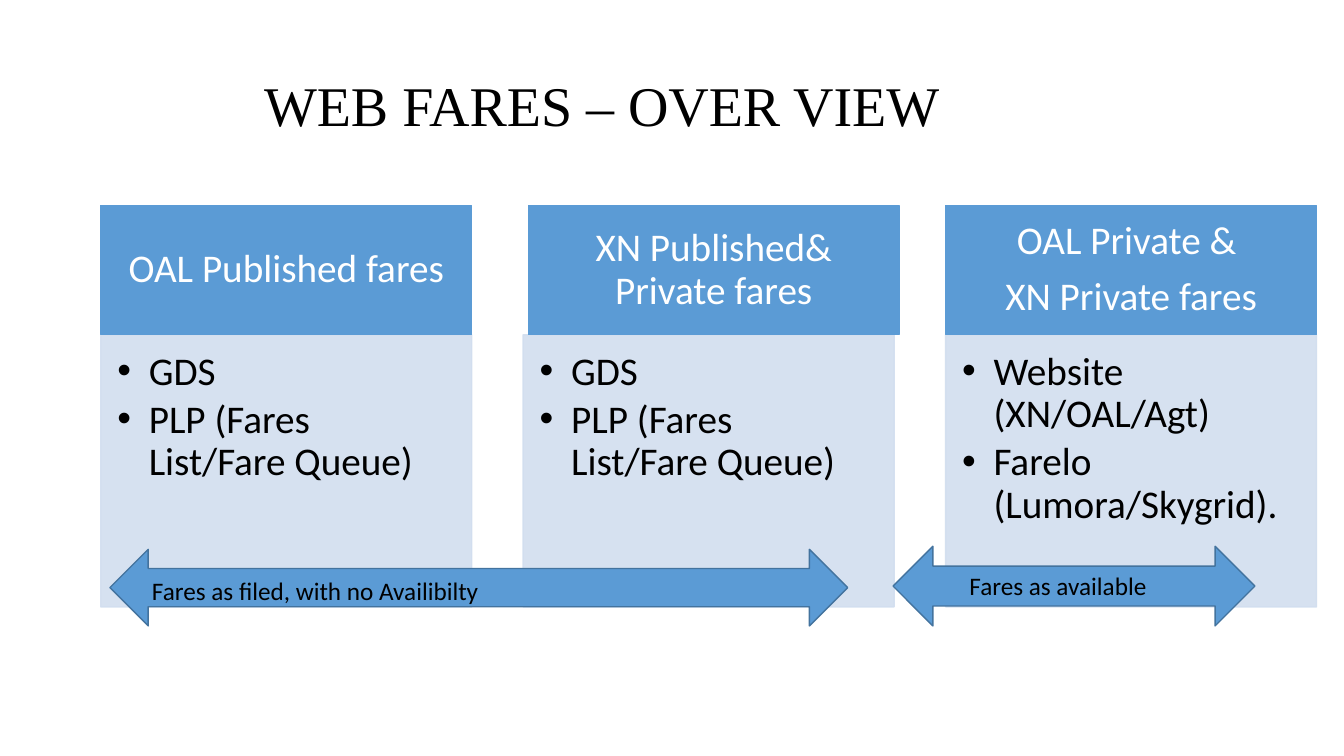
from dataclasses import dataclass

import pptx
import pptx.dml.color
import pptx.enum.shapes
import pptx.enum.text
import pptx.oxml.ns
import pptx.util
from lxml import etree

Pt = pptx.util.Pt
RGB = pptx.dml.color.RGBColor.from_string
ALIGN = pptx.enum.text.PP_ALIGN
ANCHOR = pptx.enum.text.MSO_ANCHOR
FIT = pptx.enum.text.MSO_AUTO_SIZE
SHAPE = pptx.enum.shapes.MSO_SHAPE
qn = pptx.oxml.ns.qn


@dataclass(frozen=True)
class Theme:
    blue: str = "5B9BD5"
    outline: str = "43739E"
    pale: str = "D2DEEF"
    dark: str = "000000"
    light: str = "FFFFFF"
    title_font: str = "Times New Roman"
    font: str = "Calibri"
    title_size: int = 40
    card_size: int = 28
    label_size: int = 18


THEME = Theme()

# Card grid, in points
LEFT, STEP, WIDTH = 72, 301.7, 265
HEAD_TOP, HEAD_H = 146.9, 92.2
BODY_TOP, BODY_H = 239.1, 194.4

# Placeholder index, header shift, header lines, list items
CARDS = [
    (1, 0, ["OAL Published fares"], ["GDS", "PLP (Fares List/Fare Queue)"]),
    (2, 3.6, ["XN Published& Private fares"], ["GDS", "PLP (Fares List/Fare Queue)"]),
    (3, 0, ["OAL Private & ", "XN Private fares"],
     ["Website (XN/OAL/Agt)", "Farelo (Lumora/Skygrid)."]),
]

# Arrow box, label box, label
ARROWS = [
    ((78.5, 392.4, 527, 54.7), (101.5, 407.5, 393, 28.8), "Fares as filed, with no Availibilty"),
    ((637.9, 390.2, 258.5, 56.9), (685.4, 403.9, 226.8, 28.8), "Fares as available"),
]


def place(sp, box):
    sp.left, sp.top, sp.width, sp.height = map(Pt, box)


def paint(sp, fill, line):
    sp.fill.solid()
    sp.fill.fore_color.rgb = RGB(fill)
    sp.line.color.rgb = RGB(line)
    sp.line.width = Pt(1)


def set_alpha(sp, percent):
    for color in sp._element.spPr.iter(qn("a:srgbClr")):
        etree.SubElement(color, qn("a:alpha")).set("val", str(percent * 1000))


def set_frame(tf, anchor, insets, fit=FIT.NONE):
    tf.word_wrap = True
    tf.auto_size = fit
    tf.vertical_anchor = anchor
    tf.margin_left, tf.margin_top, tf.margin_right, tf.margin_bottom = map(Pt, insets)


def write(tf, lines, size, color, font=THEME.font, align=ALIGN.LEFT, spacing=0.9, after=0):
    for i, text in enumerate(lines):
        p = tf.paragraphs[0] if i == 0 else tf.add_paragraph()
        p.alignment = align
        p.line_spacing = spacing
        p.space_before, p.space_after = Pt(0), Pt(after)
        r = p.add_run()
        r.text = text
        r.font.name, r.font.size, r.font.bold = font, Pt(size), False
        r.font.color.rgb = RGB(color)


def add_bullets(tf, indent):
    for p in tf.paragraphs:
        pPr = p._p.get_or_add_pPr()
        pPr.set("marL", str(Pt(indent)))
        pPr.set("indent", str(-Pt(indent)))
        etree.SubElement(pPr, qn("a:buFont")).set("typeface", "Arial")
        etree.SubElement(pPr, qn("a:buChar")).set("char", "•")


def add_shape(slide, kind, box, fill, line):
    sp = slide.shapes.add_shape(kind, *map(Pt, box))
    sp.shadow.inherit = False
    paint(sp, fill, line)
    return sp


def add_title(slide, text):
    sp = slide.shapes.title
    place(sp, (181.4, 42.5, 648, 69.1))
    set_frame(sp.text_frame, ANCHOR.MIDDLE, (7.2, 3.6, 7.2, 3.6))
    write(sp.text_frame, [text], THEME.title_size, THEME.dark, THEME.title_font)


def add_header(slide, x, lines):
    sp = add_shape(slide, SHAPE.RECTANGLE, (x, HEAD_TOP, WIDTH, HEAD_H), THEME.blue, THEME.blue)
    set_frame(sp.text_frame, ANCHOR.MIDDLE, (15.7, 9, 15.7, 9))
    write(sp.text_frame, lines, THEME.card_size, THEME.light, align=ALIGN.CENTER, after=9.8)


def fill_list(sp, x, items):
    place(sp, (x, BODY_TOP, WIDTH, BODY_H))
    paint(sp, THEME.pale, THEME.pale)
    set_alpha(sp, 90)
    set_frame(sp.text_frame, ANCHOR.TOP, (11.8, 11.8, 15.7, 17.6))
    write(sp.text_frame, items, THEME.card_size, THEME.dark, after=4.2)
    add_bullets(sp.text_frame, 22.5)


def add_arrow(slide, box, label_box, label):
    add_shape(slide, SHAPE.LEFT_RIGHT_ARROW, box, THEME.blue, THEME.outline)
    sp = slide.shapes.add_textbox(*map(Pt, label_box))
    set_frame(sp.text_frame, ANCHOR.TOP, (7.2, 3.6, 7.2, 3.6), FIT.SHAPE_TO_FIT_TEXT)
    write(sp.text_frame, [label], THEME.label_size, THEME.dark, spacing=1.0)


def main():
    prs = pptx.Presentation()
    prs.slide_width, prs.slide_height = Pt(960), Pt(540)
    slide = prs.slides.add_slide(prs.slide_layouts.get_by_name("Comparison"))
    bodies = {sp.placeholder_format.idx: sp for sp in slide.placeholders}

    add_title(slide, "WEB FARES – OVER VIEW")

    # Fare cards
    for i, (idx, shift, header, items) in enumerate(CARDS):
        x = LEFT + i * STEP
        fill_list(bodies[idx], x, items)
        add_header(slide, x + shift, header)

    # The layout has one list more than there are cards
    spare = bodies[4]._element
    spare.getparent().remove(spare)

    # Arrows spanning the cards
    for arrow in ARROWS:
        add_arrow(slide, *arrow)

    prs.save("out.pptx")


if __name__ == "__main__":
    main()
